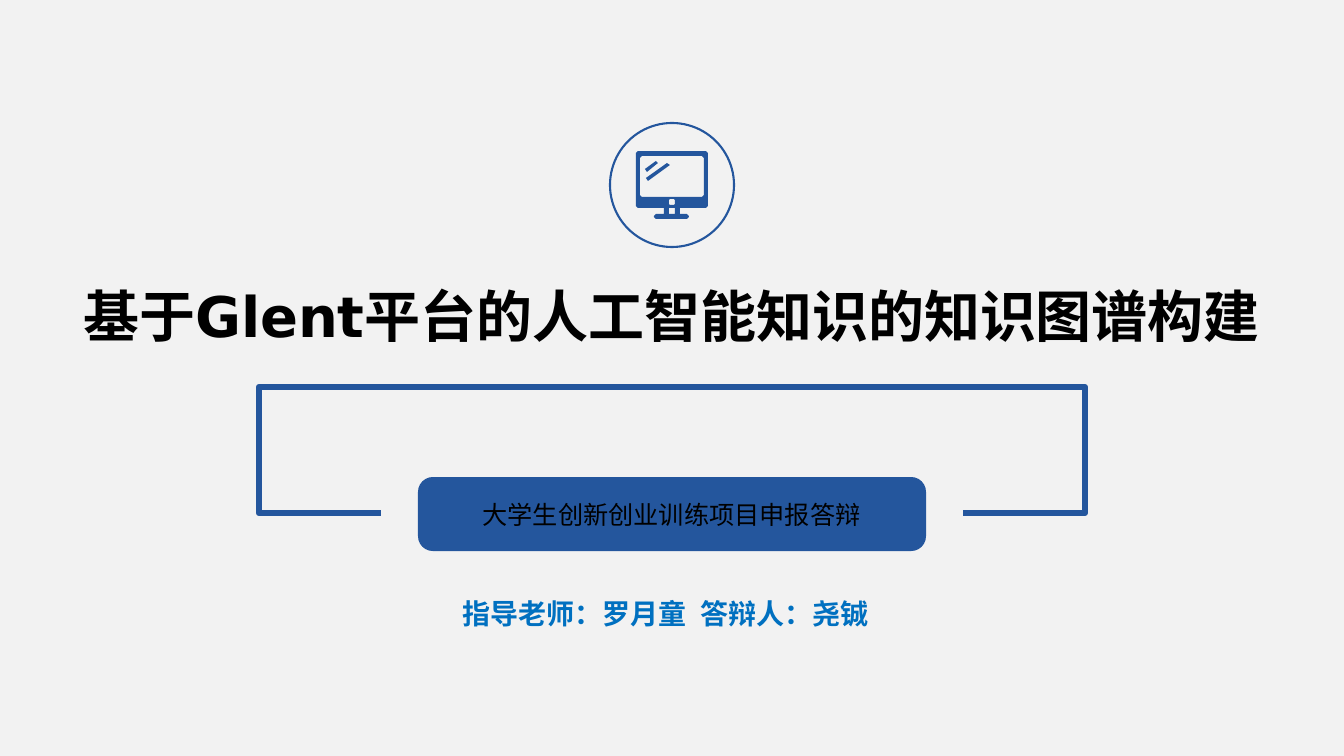
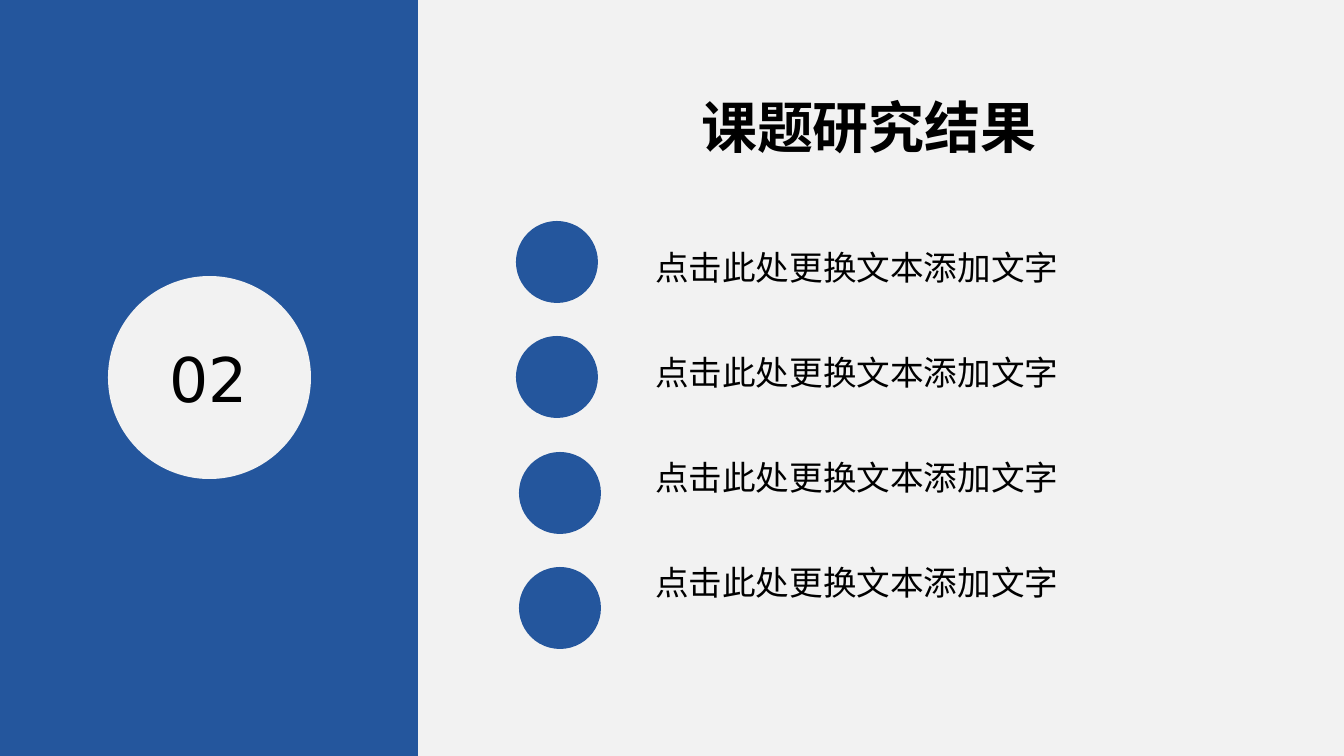
from math import cos, pi, sin

from lxml.etree import SubElement
from pptx import Presentation
from pptx.dml.color import RGBColor
from pptx.enum.shapes import MSO_SHAPE
from pptx.enum.text import MSO_ANCHOR, MSO_AUTO_SIZE, PP_ALIGN
from pptx.oxml.ns import qn
from pptx.util import Pt

PIXEL = 914400 / 100.8
SLIDE_WIDTH, SLIDE_HEIGHT = 1344, 756
COLORS = {"page": "F2F2F2", "brand": "24569D", "text": "000000", "people": "0070C0"}
LATIN, CHINESE = "DejaVu Sans", "Noto Sans CJK SC"
ROW_PITCH = 115.5


def px(value):
    return round(value * PIXEL)


def color(name):
    return RGBColor.from_string(COLORS[name])


def place(shape, left, top, width, height):
    shape.left, shape.top = px(left), px(top)
    shape.width, shape.height = px(width), px(height)


def paint(shape, fill=None, line=None, weight=0):
    shape.shadow.inherit = False
    if fill:
        shape.fill.solid()
        shape.fill.fore_color.rgb = color(fill)
    else:
        shape.fill.background()
    if line:
        shape.line.color.rgb = color(line)
        shape.line.width = Pt(weight)
    else:
        shape.line.fill.background()


def add_figure(page, kind, area, **style):
    figure = page.shapes.add_shape(kind, *map(px, area))
    paint(figure, **style)
    return figure


def write(box, lines, size, font=LATIN, ink="text", bold=False,
          align=PP_ALIGN.LEFT, wrap=True, anchor=MSO_ANCHOR.TOP):
    frame = box.text_frame
    frame.text = "\n".join(lines)
    frame.auto_size = MSO_AUTO_SIZE.NONE
    frame.word_wrap = wrap
    frame.vertical_anchor = anchor
    for para in frame.paragraphs:
        para.alignment = align
        para.space_before = Pt(0)
        para.font.size = Pt(size)
        para.font.bold = bold
        para.font.name = font
        para.font.color.rgb = color(ink)
        defaults = para._p.pPr.find(qn("a:defRPr"))
        SubElement(defaults, qn("a:ea"), typeface=CHINESE)
    return frame


def add_text(page, area, text, size, **style):
    box = page.shapes.add_textbox(*map(px, area))
    write(box, [text], size, **style)


def set_title(page, area, text, align=PP_ALIGN.LEFT):
    place(page.shapes.title, *area)
    write(page.shapes.title, [text], 40, bold=True, align=align,
          anchor=MSO_ANCHOR.MIDDLE)


def set_list(box, area, lines, size, gap):
    place(box, *area)
    for para in write(box, lines, size, font=CHINESE).paragraphs:
        para.line_spacing = 1.25
        para.space_after = Pt(gap)
        properties = para._p.pPr
        properties.set("marL", "0")
        properties.set("indent", "0")
        bullet = SubElement(properties, qn("a:buNone"))
        properties.find(qn("a:defRPr")).addprevious(bullet)


def rounded(left, top, right, bottom, cut):
    return [(left + cut, top), (right - cut, top), (right, top + cut),
            (right, bottom - cut), (right - cut, bottom), (left + cut, bottom),
            (left, bottom - cut), (left, top + cut)]


def add_monitor(page):
    dot = [(672 + 3 * cos(step * pi / 6), 202 + 3 * sin(step * pi / 6))
           for step in range(12)]
    contours = [
        rounded(636, 151, 708, 208, 2),
        rounded(640, 156, 704, 197, 2),
        dot,
        [(645, 169), (656, 161), (658, 163), (647, 172)],
        [(646, 178), (667, 163), (670, 165), (648, 181)],
        [(664, 208), (669, 208), (669, 214), (664, 214)],
        [(675, 208), (680, 208), (680, 214), (675, 214)],
        rounded(654, 214, 689, 219, 2),
    ]
    builder = page.shapes.build_freeform(*contours[0][0], scale=PIXEL)
    builder.add_line_segments(contours[0][1:], close=True)
    for contour in contours[1:]:
        builder.move_to(*contour[0])
        builder.add_line_segments(contour[1:], close=True)
    paint(builder.convert_to_shape(), fill="brand")


def build_cover(deck):
    page = deck.slides.add_slide(deck.slide_layouts[0])
    add_figure(page, MSO_SHAPE.RECTANGLE, (259, 387, 826, 126), line="brand", weight=4.51)
    add_figure(page, MSO_SHAPE.RECTANGLE, (381, 459, 582, 111), fill="page")
    banner = add_figure(page, MSO_SHAPE.ROUNDED_RECTANGLE, (418, 477, 508, 74), fill="brand")
    banner.adjustments[0] = 0.2
    add_text(page, (499, 494, 345, 40), "大学生创新创业训练项目申报答辩", 18,
             font="Arial", align=PP_ALIGN.CENTER, wrap=False)
    add_monitor(page)
    add_figure(page, MSO_SHAPE.OVAL, (610, 123, 124, 124), line="brand", weight=1.5)
    set_title(page, (33, 277, 1277, 77), "基于Glent平台的人工智能知识的知识图谱构建",
              PP_ALIGN.CENTER)
    people = page.placeholders[1]
    place(people, 447, 591, 437, 78)
    write(people, ["指导老师：罗月童\u2002答辩人：尧铖"], 20, font=CHINESE,
          ink="people", bold=True, align=PP_ALIGN.CENTER)


def build_results(deck):
    page = deck.slides.add_slide(deck.slide_layouts[1])
    add_figure(page, MSO_SHAPE.RECTANGLE, (0, 0, 418, SLIDE_HEIGHT), fill="brand")
    add_figure(page, MSO_SHAPE.OVAL, (108, 276, 203, 203), fill="page")
    add_text(page, (160, 336, 98, 84), "02", 44, align=PP_ALIGN.CENTER, wrap=False)
    set_title(page, (691, 88, 370, 77), "课题研究结果")
    for row, left in enumerate((516, 516, 519, 519)):
        add_figure(page, MSO_SHAPE.OVAL, (left, 221 + int(row * ROW_PITCH), 82, 82),
                   fill="brand")
    set_list(page.placeholders[1], (645, 232, 654, 397),
             ["点击此处更换文本添加文字"] * 4, 24, gap=39)


def main():
    deck = Presentation()
    deck.slide_width, deck.slide_height = px(SLIDE_WIDTH), px(SLIDE_HEIGHT)
    backdrop = deck.slide_master.background.fill
    backdrop.solid()
    backdrop.fore_color.rgb = color("page")
    build_cover(deck)
    build_results(deck)
    deck.save("out.pptx")


main()
